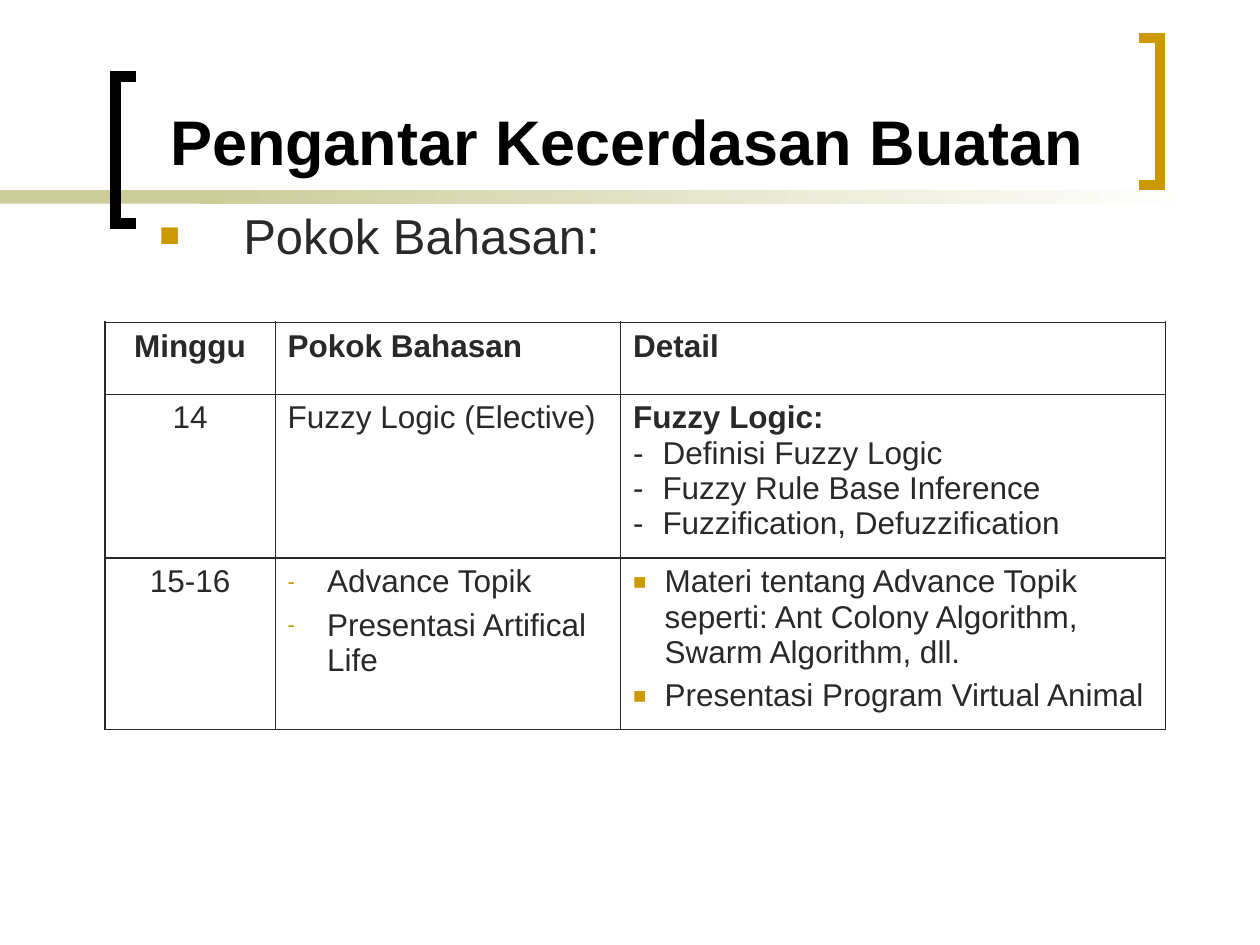
from lxml.etree import SubElement
from pptx import Presentation
from pptx.dml.color import RGBColor
from pptx.enum.shapes import MSO_SHAPE
from pptx.enum.text import MSO_ANCHOR, MSO_AUTO_SIZE, PP_ALIGN
from pptx.oxml import parse_xml
from pptx.oxml.ns import nsdecls, qn
from pptx.util import Inches, Pt

UNIT = Inches(10) / 120
INK, GOLD, SAND, BLACK, WHITE = "292929", "CC9900", "CCCC99", "000000", "FFFFFF"
COLUMNS = (16.2, 32.9, 51.9)
ROWS = (6.84, 15.6, 16.3)
DASH = ("-", INK, 100, 2.8)
GOLD_DASH = ("-", GOLD, 70, 3.75)
SQUARE = ("■", GOLD, 70, 3)
WIDE_SQUARE = ("■", GOLD, 70, 8)
HEADINGS = ("Minggu", "Pokok Bahasan", "Detail")
CONTENT = (
    [[(text, True, None, 4.5)] for text in HEADINGS],
    [
        [("14", False, None, 0)],
        [("Fuzzy Logic (Elective)", False, None, 0)],
        [
            ("Fuzzy Logic:", True, None, 0),
            ("Definisi Fuzzy Logic", False, DASH, 0),
            ("Fuzzy Rule Base Inference", False, DASH, 0),
            ("Fuzzification, Defuzzification", False, DASH, 0),
        ],
    ],
    [
        [("15-16", False, None, 4.5)],
        [
            ("Advance Topik", False, GOLD_DASH, 4.5),
            ("Presentasi Artifical Life", False, GOLD_DASH, 4.5),
        ],
        [
            ("Materi tentang Advance Topik seperti: Ant Colony Algorithm, "
             "Swarm Algorithm, dll.", False, SQUARE, 4.5),
            ("Presentasi Program Virtual Animal", False, SQUARE, 4.5),
        ],
    ],
)


def grid(count):
    """Turn grid units, 120 across and 90 down the slide, into a length."""
    return round(count * UNIT)


def colour(code):
    """Return the colour for a hex string."""
    return RGBColor.from_string(code)


def add_bullet(para, bullet):
    """Give a paragraph a bullet with a hanging indent."""
    mark, code, percent, indent = bullet
    props = para._p.get_or_add_pPr()
    props.set("marL", str(grid(indent)))
    props.set("indent", str(-grid(indent)))
    tint = SubElement(props, qn("a:buClr"))
    SubElement(tint, qn("a:srgbClr"), val=code)
    SubElement(props, qn("a:buSzPct"), val=str(percent * 1000))
    SubElement(props, qn("a:buFont"), typeface="Arial")
    SubElement(props, qn("a:buChar"), char=mark)


def write(frame, items, size, code=INK, align=PP_ALIGN.LEFT):
    """Fill a text frame with (text, bold, bullet, space before) items."""
    frame.text = "\n".join(item[0] for item in items)
    for para, (_, bold, bullet, before) in zip(frame.paragraphs, items):
        para.alignment = align
        para.space_before = Pt(before)
        if bullet:
            add_bullet(para, bullet)
        for span in para.runs:
            span.font.name = "Arial"
            span.font.size = Pt(size)
            span.font.bold = bold
            span.font.color.rgb = colour(code)


def add_rule(page, left, top, width, height):
    """Draw the solid band and the fading band that overlaps its end."""
    for start, share, fades in ((0, 28 / 114, False), (19 / 114, 95 / 114, True)):
        band = page.shapes.add_shape(
            MSO_SHAPE.RECTANGLE, grid(left + start * width), grid(top),
            grid(share * width), grid(height))
        band.shadow.inherit = False
        band.line.fill.background()
        if fades:
            band.fill.gradient()
            band.fill.gradient_angle = 0
            for stop, code in zip(band.fill.gradient_stops, (SAND, WHITE)):
                stop.color.rgb = colour(code)
        else:
            band.fill.solid()
            band.fill.fore_color.rgb = colour(SAND)


def add_bracket(page, left, top, width, height, code, opens_right):
    """Draw a square bracket that fills the box."""
    tips, spine = (left + width, left) if opens_right else (left, left + width)
    points = [(tips, top), (spine, top), (spine, top + height), (tips, top + height)]
    corners = [(grid(across), grid(down)) for across, down in points]
    builder = page.shapes.build_freeform(*corners[0])
    builder.add_line_segments(corners[1:], close=False)
    bracket = builder.convert_to_shape()
    bracket.shadow.inherit = False
    bracket.fill.background()
    bracket.line.color.rgb = colour(code)
    bracket.line.width = Pt(6)
    SubElement(bracket.line._get_or_add_ln(), qn("a:miter"), lim="800000")


def add_title(page, left, top, width, height):
    """Place the title at the bottom of its box."""
    title = page.shapes.title
    title.left, title.top = grid(left), grid(top)
    title.width, title.height = grid(width), grid(height)
    frame = title.text_frame
    frame.auto_size = MSO_AUTO_SIZE.NONE
    frame.vertical_anchor = MSO_ANCHOR.BOTTOM
    write(frame, [("Pengantar Kecerdasan Buatan", True, None, 0)], 36, BLACK)


def add_lead(page, left, top, width, height):
    """Place the bulleted line above the table."""
    box = page.shapes.add_textbox(grid(left), grid(top), grid(width), grid(height))
    box.text_frame.word_wrap = True
    write(box.text_frame, [("Pokok Bahasan:", False, WIDE_SQUARE, 7)], 28)


def add_borders(cell, row, column):
    """Line the four sides of a cell, heavier on the outer edge."""
    sides = {
        "lnL": 0.45 if column else 1.08,
        "lnR": 1.08 if column == len(COLUMNS) - 1 else 0.45,
        "lnT": 0.75 if row else 1.08,
        "lnB": 0.45 if row == len(ROWS) - 1 else 0.75,
    }
    props = cell._tc.get_or_add_tcPr()
    for place, (tag, points) in enumerate(sides.items()):
        props.insert(place, parse_xml(
            f'<a:{tag} {nsdecls("a")} w="{Pt(points)}"><a:solidFill>'
            f'<a:srgbClr val="{INK}"/></a:solidFill></a:{tag}>'))


def add_schedule(page, left, top):
    """Build the weekly topic table."""
    table = page.shapes.add_table(
        len(ROWS), len(COLUMNS), grid(left), grid(top),
        grid(sum(COLUMNS)), grid(sum(ROWS))).table
    table.first_row = table.horz_banding = False
    for column, width in zip(table.columns, COLUMNS):
        column.width = grid(width)
    for row, height in zip(table.rows, ROWS):
        row.height = grid(height)
    for row, line in enumerate(CONTENT):
        for column, items in enumerate(line):
            cell = table.cell(row, column)
            cell.fill.background()
            add_borders(cell, row, column)
            align = PP_ALIGN.LEFT if column else PP_ALIGN.CENTER
            write(cell.text_frame, items, 18, align=align)


def main():
    """Build the slide and save the deck."""
    deck = Presentation()
    deck.slide_width, deck.slide_height = grid(120), grid(90)
    page = deck.slides.add_slide(deck.slide_layouts[5])
    add_rule(page, 0, 18.1, 114, 1.3)
    add_bracket(page, 11, 7.3, 2, 14, BLACK, True)
    add_bracket(page, 108.5, 3.6, 2, 14, GOLD, False)
    add_lead(page, 14, 19, 104, 7)
    add_schedule(page, 10, 30.7)
    add_title(page, 15, 2, 91, 15.6)
    deck.save("out.pptx")


if __name__ == "__main__":
    main()
